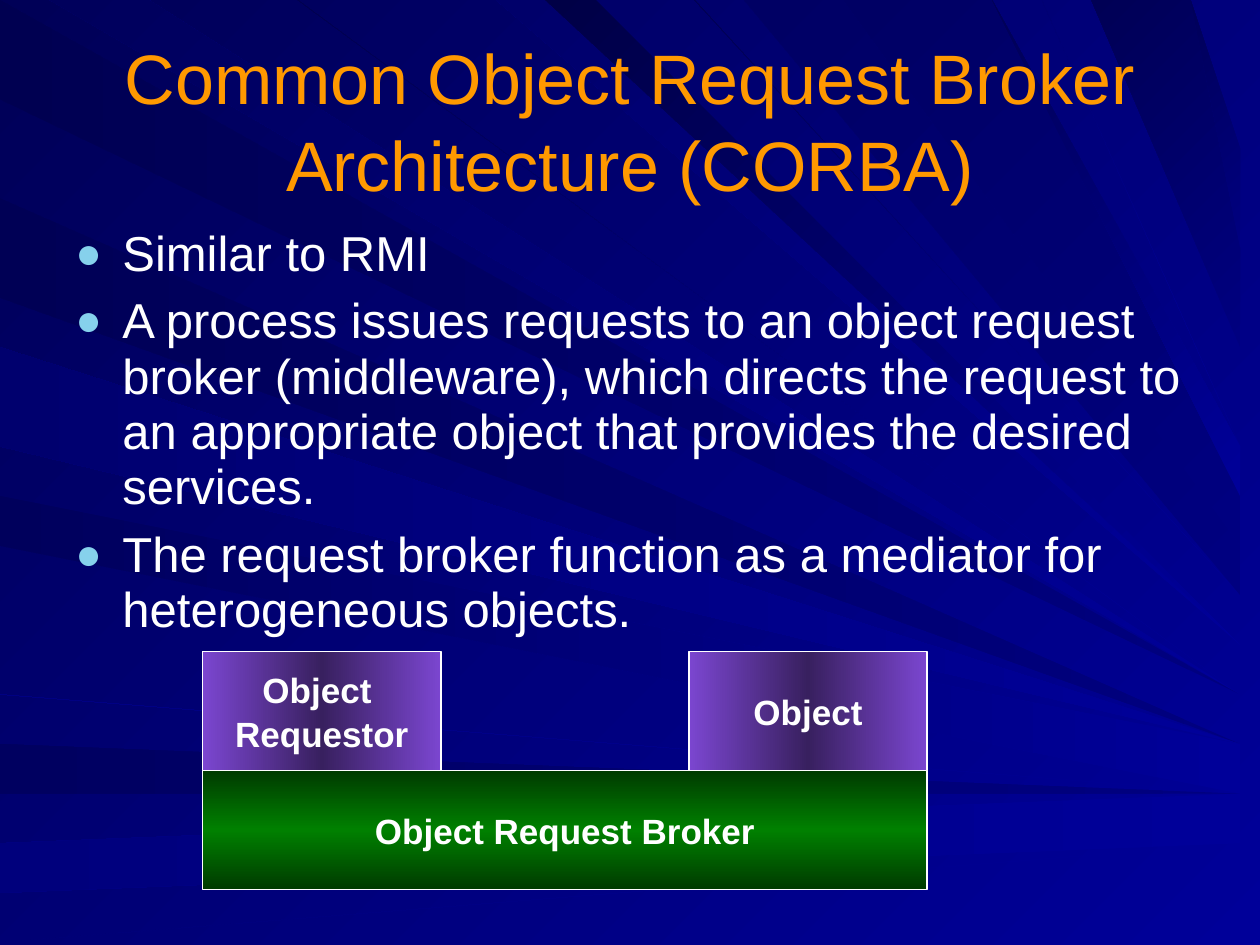
from pptx import Presentation
from pptx.dml.color import RGBColor
from pptx.enum.shapes import MSO_SHAPE
from pptx.enum.text import MSO_ANCHOR, PP_ALIGN
from pptx.oxml import parse_xml
from pptx.oxml.ns import nsdecls, qn
from pptx.util import Cm, Pt

# Content
TITLE = "Common Object Request Broker Architecture (CORBA)"
BULLETS = [
    "Similar to RMI",
    "A process issues requests to an object request broker (middleware), which directs "
    "the request to an appropriate object that provides the desired services.",
    "The request broker function as a mediator for heterogeneous objects.",
]
REQUESTOR = ["Object ", "Requestor"]
OBJECT = ["Object"]
BROKER = ["Object Request Broker"]

WHITE, ORANGE, SKY = "FFFFFF", "FF9900", "86D1EC"
PURPLE = ["7B46D0", "38205F", "7B46D0"]
GREEN = ["003B00", "008000", "003B00"]
NAVY, BLUE = "000080", "000099"

# Background rays: start and end on the slide edge (cm), far colour, near colour
WIDTH, HEIGHT = 25.4, 19.05
VANISHING = (29.2, 16.3)
LEFT_RAYS = [
    (0.1, 2.4, "000051", NAVY),
    (15.1, 15.8, "000060", NAVY),
    (16.9, 17.9, "00007C", BLUE),
    (18.7, 19, "00006E", BLUE),
    (6.6, 6.9, "000053", BLUE),
    (4, 5.8, "000055", NAVY),
    (7.1, 8.7, "000060", BLUE),
    (9.5, 11.1, "00005C", BLUE),
    (14, 14.2, "000081", BLUE),
    (7.2, 8.8, "00006E", BLUE),
]
TOP_RAYS = [
    (0.7, 2.6, "00005C", BLUE),
    (10.1, 10.6, "00006A", BLUE),
    (10.8, 12.5, "000046", BLUE),
    (13.7, 14, "00004E", BLUE),
    (15.4, 16.8, "000064", NAVY),
    (22.5, 23.6, "000055", NAVY),
    (23.9, 24.5, "000059", NAVY),
    (5.7, 6.3, "00004A", BLUE),
    (17.4, 19.6, "000064", NAVY),
    (19.9, 20.1, "000057", BLUE),
    (20.7, 20.9, "00006E", BLUE),
]


def rgb(hex_color):
    return RGBColor.from_string(hex_color)


def paint(fill, holder, colors, angle):
    """Evenly spaced gradient; the angle runs clockwise."""
    fill.gradient()
    step = 100000 // (len(colors) - 1)
    stops = "".join(f'<a:gs pos="{i * step}"><a:srgbClr val="{c}"/></a:gs>'
                    for i, c in enumerate(colors))
    old = holder.find(qn("a:gradFill"))
    holder.replace(old, parse_xml(
        f'<a:gradFill {nsdecls("a")} rotWithShape="1"><a:gsLst>{stops}</a:gsLst>'
        f'<a:lin ang="{angle * 60000}" scaled="0"/></a:gradFill>'))


def write(tf, lines, size, color=WHITE, bold=False, align=PP_ALIGN.CENTER,
          anchor=MSO_ANCHOR.MIDDLE, spacing=1.04, before=0, wrap=True, bullet=None):
    tf.word_wrap = wrap
    tf.vertical_anchor = anchor
    tf.margin_left = tf.margin_right = Cm(0.25)
    tf.margin_top = tf.margin_bottom = Cm(0.13)
    for i, text in enumerate(lines):
        p = tf.paragraphs[0] if i == 0 else tf.add_paragraph()
        p.alignment, p.line_spacing, p.space_before = align, spacing, Pt(before)
        r = p.add_run()
        r.text = text
        r.font.name, r.font.size, r.font.bold = "Arial", Pt(size), bold
        r.font.color.rgb = rgb(color)
        if bullet:
            pPr = p._p.get_or_add_pPr()
            pPr.set("marL", str(Cm(0.95)))
            pPr.set("indent", str(-Cm(0.95)))
            for tag in (f'buClr {nsdecls("a")}><a:srgbClr val="{bullet}"/></a:buClr>',
                        f'buSzPct {nsdecls("a")} val="90000"/>',
                        f'buFont {nsdecls("a")} typeface="Arial"/>',
                        f'buChar {nsdecls("a")} char="●"/>'):
                pPr.append(parse_xml("<a:" + tag))


def right_end(x, y):
    """Point where the line towards the vanishing point meets the right slide edge."""
    vx, vy = VANISHING
    return WIDTH, y + (vy - y) * (WIDTH - x) / (vx - x)


def add_ray(s, start, end, colors, angle):
    builder = s.shapes.build_freeform(*start, scale=Cm(1))
    builder.add_line_segments([right_end(*start), right_end(*end), end], close=True)
    sp = builder.convert_to_shape()
    sp.shadow.inherit = False
    paint(sp.fill, sp._element.spPr, colors, angle)
    sp.line.fill.background()


def add_box(s, lines, colors, angle, left, top, width, height):
    sp = s.shapes.add_shape(MSO_SHAPE.RECTANGLE, Cm(left), Cm(top), Cm(width), Cm(height))
    sp.shadow.inherit = False
    paint(sp.fill, sp._element.spPr, colors, angle)
    sp.line.color.rgb = rgb(WHITE)
    sp.line.width = Pt(0.75)
    write(sp.text_frame, lines, 20, bold=True, wrap=False)


def main():
    prs = Presentation()
    prs.slide_width, prs.slide_height = Cm(WIDTH), Cm(HEIGHT)
    s = prs.slides.add_slide(prs.slide_layouts[5])

    # Background
    fill = s.background.fill
    fill.solid()
    paint(fill, s.element.find(".//" + qn("p:bgPr")), [BLUE, "000057"], 225)
    for start, end, far, near in LEFT_RAYS:
        add_ray(s, (0, start), (0, end), [near, far], 180)
    for start, end, far, near in TOP_RAYS:
        add_ray(s, (start, 0), (end, 0), [near, far], 225)

    # Title, brought in front of the rays
    title = s.shapes.title
    s.shapes._spTree.append(title._element)
    title.left, title.top, title.width, title.height = Cm(1.27), Cm(0.8), Cm(22.86), Cm(3.18)
    write(title.text_frame, [TITLE], 40, ORANGE)

    # Bullets
    body = s.shapes.add_textbox(Cm(1.27), Cm(4.45), Cm(22.86), Cm(8.48))
    write(body.text_frame, BULLETS, 28, align=PP_ALIGN.LEFT, anchor=MSO_ANCHOR.TOP,
          spacing=0.94, before=7, bullet=SKY)

    # Diagram: two objects standing on the ends of the broker
    left, top, box_w, box_h, broker_w = 4.09, 13.13, 4.8, 2.4, 14.6
    add_box(s, REQUESTOR, PURPLE, 180, left, top, box_w, box_h)
    add_box(s, OBJECT, PURPLE, 180, left + broker_w - box_w, top, box_w, box_h)
    add_box(s, BROKER, GREEN, 90, left, top + box_h, broker_w, box_h)

    prs.save("out.pptx")


if __name__ == "__main__":
    main()
